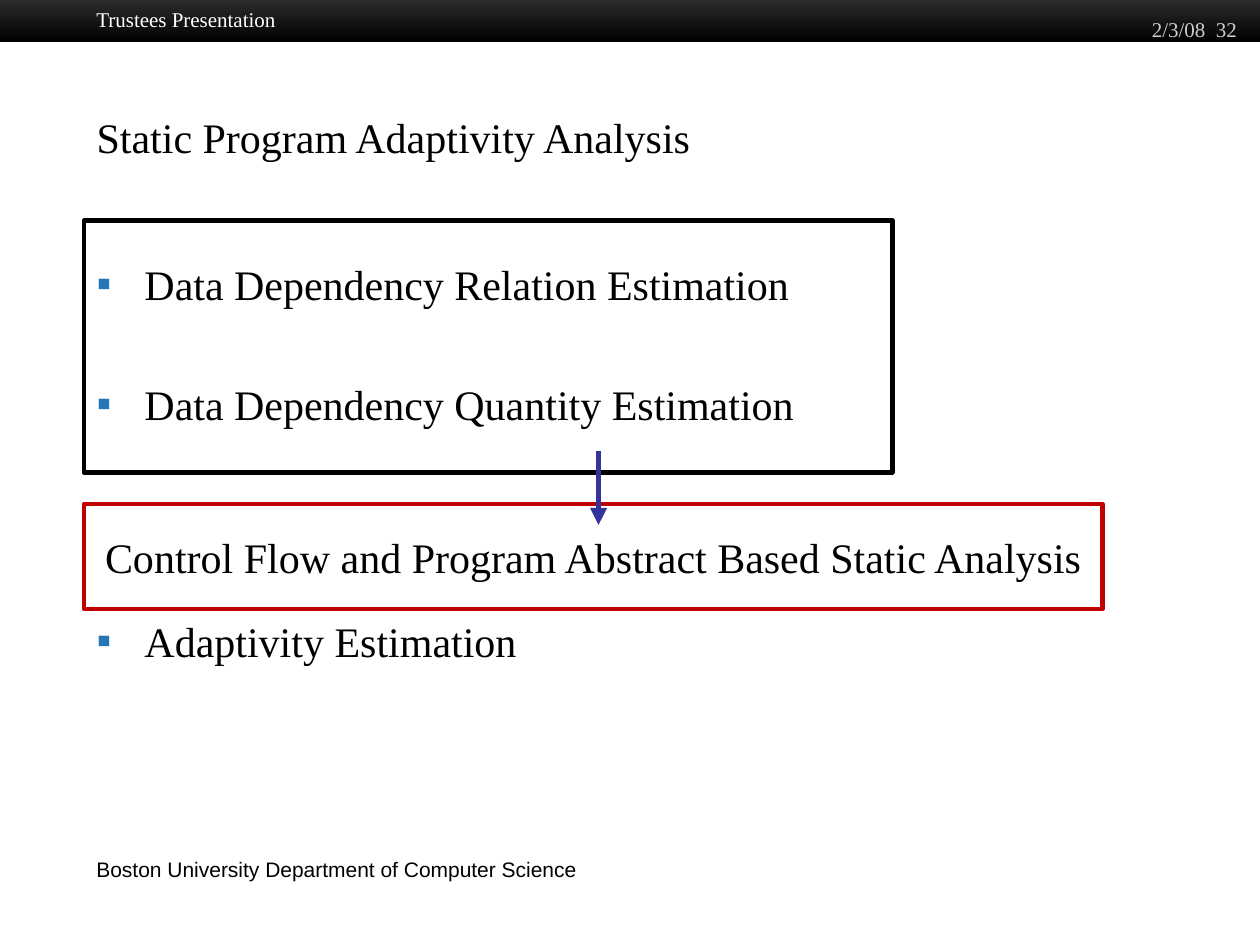
from lxml.etree import SubElement
from pptx import Presentation
from pptx.dml.color import RGBColor
from pptx.enum.shapes import MSO_CONNECTOR as Connector, MSO_SHAPE as Shape
from pptx.enum.text import MSO_ANCHOR as Anchor, MSO_AUTO_SIZE as AutoSize, PP_ALIGN as Align
from pptx.oxml.ns import qn
from pptx.util import Inches, Pt

BLACK = RGBColor(0x00, 0x00, 0x00)
CHARCOAL = RGBColor(0x33, 0x33, 0x33)
WHITE = RGBColor(0xFF, 0xFF, 0xFF)
SILVER = RGBColor(0xCC, 0xCC, 0xCC)
RED = RGBColor(0xC0, 0x00, 0x00)
INDIGO = RGBColor(0x33, 0x33, 0x99)
BULLET_BLUE = RGBColor(0x26, 0x75, 0xB4)

SERIF, SANS = "Times New Roman", "Arial"
LARGE, SMALL = Pt(24), Pt(12)
COLUMNS, ROWS = 120, 90
MARGIN, CONTENT_WIDTH = 8, 104
LINE_PITCH, ITEM_GAP = 33.6, 6
TOP_FRAME = {"word_wrap": True, "auto_size": AutoSize.NONE, "vertical_anchor": Anchor.TOP}
MIDDLE_FRAME = {**TOP_FRAME, "vertical_anchor": Anchor.MIDDLE}


def grid(*cells):
    """Turn alternating column and row counts into lengths."""
    units = (Inches(10) / COLUMNS, Inches(7.5) / ROWS)
    return [round(cell * units[i % 2]) for i, cell in enumerate(cells)]


def assign(target, values):
    """Set each named format value on the target."""
    for name, value in values.items():
        setattr(target, name, value)


def place(holder, *cells):
    """Move a placeholder to its grid cells."""
    assign(holder, dict(zip(("left", "top", "width", "height"), grid(*cells))))


def write(paragraph, text, color=BLACK, size=LARGE, font=SERIF, **layout):
    """Write one formatted run into a paragraph."""
    assign(paragraph, layout)
    run = paragraph.add_run()
    run.text = text
    assign(run.font, {"name": font, "size": size, "bold": False})
    run.font.color.rgb = color


def add_label(slide, cells, text, color, font=SERIF, align=Align.LEFT):
    """Add a small line of header or footer text."""
    label = slide.shapes.add_textbox(*grid(*cells)).text_frame
    assign(label, TOP_FRAME)
    write(label.paragraphs[0], text, color, SMALL, font, alignment=align)


def add_header_bar(slide):
    """Add the dark gradient bar along the top."""
    bar = slide.shapes.add_shape(Shape.RECTANGLE, *grid(0, -0.6, COLUMNS, 4.6))
    bar.shadow.inherit = False
    bar.line.fill.background()
    bar.fill.gradient()
    bar.fill.gradient_angle = 270
    for stop, color, position in zip(bar.fill.gradient_stops, (CHARCOAL, BLACK), (0, 1)):
        stop.color.rgb = color
        stop.position = position


def add_outline(slide, cells, color):
    """Add an unfilled rectangle around a stage of the analysis."""
    outline = slide.shapes.add_shape(Shape.RECTANGLE, *grid(*cells))
    outline.shadow.inherit = False
    outline.fill.background()
    outline.line.color.rgb = color
    outline.line.width = Pt(2.5)
    return outline


def add_arrow(slide, cells):
    """Add a straight arrow with a triangular head."""
    arrow = slide.shapes.add_connector(Connector.STRAIGHT, *grid(*cells))
    arrow.line.color.rgb = INDIGO
    arrow.line.width = Pt(3.25)
    SubElement(arrow.line._get_or_add_ln(), qn("a:tailEnd"), type="triangle")
    SubElement(arrow._element.spPr, qn("a:effectLst"))


def add_bullet(paragraph):
    """Give a paragraph a hanging square bullet."""
    properties = paragraph._p.get_or_add_pPr()
    indent = Inches(0.38)
    properties.set("marL", str(indent))
    properties.set("indent", str(-indent))
    color = SubElement(properties, qn("a:buClr"))
    SubElement(color, qn("a:srgbClr"), val=str(BULLET_BLUE))
    SubElement(properties, qn("a:buFont"), typeface=SERIF)
    SubElement(properties, qn("a:buChar"), char="▪")


def fill_steps(body, steps):
    """List the steps, each below its number of skipped lines."""
    frame = body.text_frame
    assign(frame, TOP_FRAME)
    for index, (text, skipped) in enumerate(steps):
        step = frame.add_paragraph() if index else frame.paragraphs[0]
        gap = skipped * LINE_PITCH + ITEM_GAP if index else 0
        write(step, text, space_before=Pt(gap), line_spacing=1.0)
        add_bullet(step)


def main():
    """Build the slide and save it."""
    deck = Presentation()
    assign(deck, {"slide_width": Inches(10), "slide_height": Inches(7.5)})
    slide = deck.slides.add_slide(deck.slide_layouts[1])
    title, steps = slide.placeholders

    add_header_bar(slide)
    add_label(slide, (MARGIN, 81, 61, 3.6),
              "Boston University Department of Computer Science", BLACK, SANS)
    add_label(slide, (MARGIN, 0, 67, 4), "Trustees Presentation", WHITE)
    add_label(slide, (105, 1, 14, 3), "2/3/08  32", SILVER, align=Align.RIGHT)

    place(title, MARGIN, 10, CONTENT_WIDTH, 9)
    assign(title.text_frame, TOP_FRAME)
    write(title.text_frame.paragraphs[0], "Static Program Adaptivity Analysis",
          alignment=Align.LEFT)

    place(steps, MARGIN, 24, CONTENT_WIDTH, 51)
    fill_steps(steps, [
        ("Data Dependency Relation Estimation", 0),
        ("Data Dependency Quantity Estimation", 1),
        ("Adaptivity Estimation", 3),
    ])

    add_outline(slide, (MARGIN, 21, 77, 24), BLACK)
    method = add_outline(slide, (MARGIN, 48, 97, 10), RED).text_frame
    assign(method, MIDDLE_FRAME)
    write(method.paragraphs[0], "Control Flow and Program Abstract Based Static Analysis",
          alignment=Align.CENTER)
    add_arrow(slide, (57, 43, 57, 50))
    deck.save("out.pptx")


if __name__ == "__main__":
    main()
